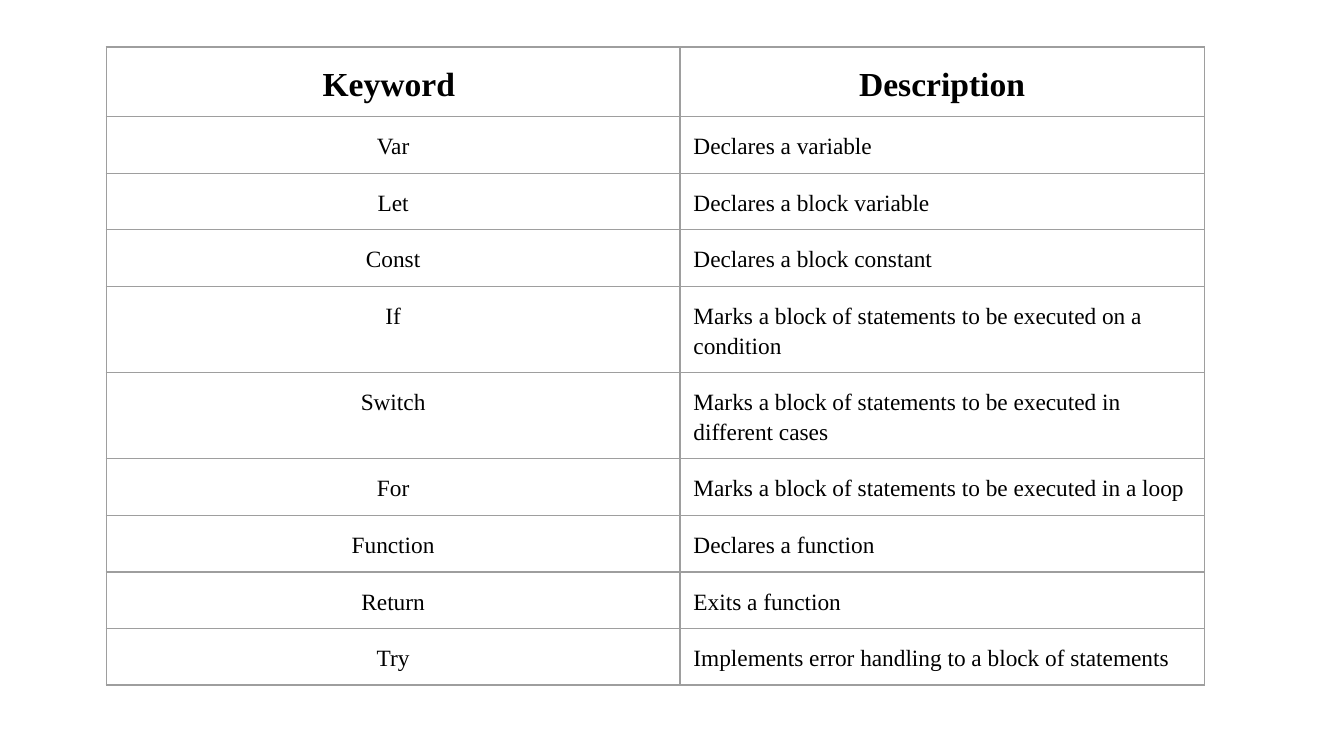
from lxml.etree import SubElement
from pptx import Presentation
from pptx.dml.color import RGBColor
from pptx.enum.text import PP_ALIGN as Align
from pptx.oxml.ns import qn
from pptx.util import Inches, Pt

BLACK = RGBColor(0x00, 0x00, 0x00)
BORDER_GRAY = RGBColor(0x9E, 0x9E, 0x9E)
FONT = "Times New Roman"

ROWS = [
    ("Keyword ", "Description"),
    ("Var", "Declares a variable"),
    ("Let", "Declares a block variable"),
    ("Const", "Declares a block constant"),
    ("If", "Marks a block of statements to be executed on a condition"),
    ("Switch", "Marks a block of statements to be executed in different cases"),
    ("For", "Marks a block of statements to be executed in a loop"),
    ("Function", "Declares a function"),
    ("Return", "Exits a function"),
    ("Try", "Implements error handling to a block of statements"),
]
COLUMN_WIDTHS = (4.27, 3.9)
HEADER_HEIGHT, ROW_HEIGHT = 0.49, 0.41


def add_borders(cell):
    properties = cell._tc.get_or_add_tcPr()
    for side in ("a:lnL", "a:lnR", "a:lnT", "a:lnB"):
        line = SubElement(properties, qn(side), w=str(Pt(0.75)))
        fill = SubElement(line, qn("a:solidFill"))
        SubElement(fill, qn("a:srgbClr"), val=str(BORDER_GRAY))


deck = Presentation()
deck.slide_width = Inches(10)
deck.slide_height = Inches(10) * 9 // 16
page = deck.slides.add_slide(deck.slide_layouts[6])

table_height = HEADER_HEIGHT + ROW_HEIGHT * (len(ROWS) - 1)
table = page.shapes.add_table(
    len(ROWS), len(COLUMN_WIDTHS), Inches(0.79), Inches(0.35),
    Inches(sum(COLUMN_WIDTHS)), Inches(table_height)).table
table.first_row = False
table.horz_banding = False

for column, width in zip(table.columns, COLUMN_WIDTHS):
    column.width = Inches(width)

for row_index, texts in enumerate(ROWS):
    is_header = row_index == 0
    table.rows[row_index].height = Inches(HEADER_HEIGHT if is_header else ROW_HEIGHT)
    for column_index, text in enumerate(texts):
        cell = table.cell(row_index, column_index)
        cell.margin_left = cell.margin_right = Inches(0.1)
        cell.margin_top = cell.margin_bottom = Inches(0.1)
        add_borders(cell)
        cell.fill.background()

        para = cell.text_frame.paragraphs[0]
        para.alignment = Align.CENTER if is_header or column_index == 0 else Align.LEFT
        para.line_spacing = 1.15
        span = para.add_run()
        span.text = text
        span.font.name = FONT
        span.font.size = Pt(18 if is_header else 12.5)
        span.font.bold = is_header
        span.font.color.rgb = BLACK

deck.save("out.pptx")
